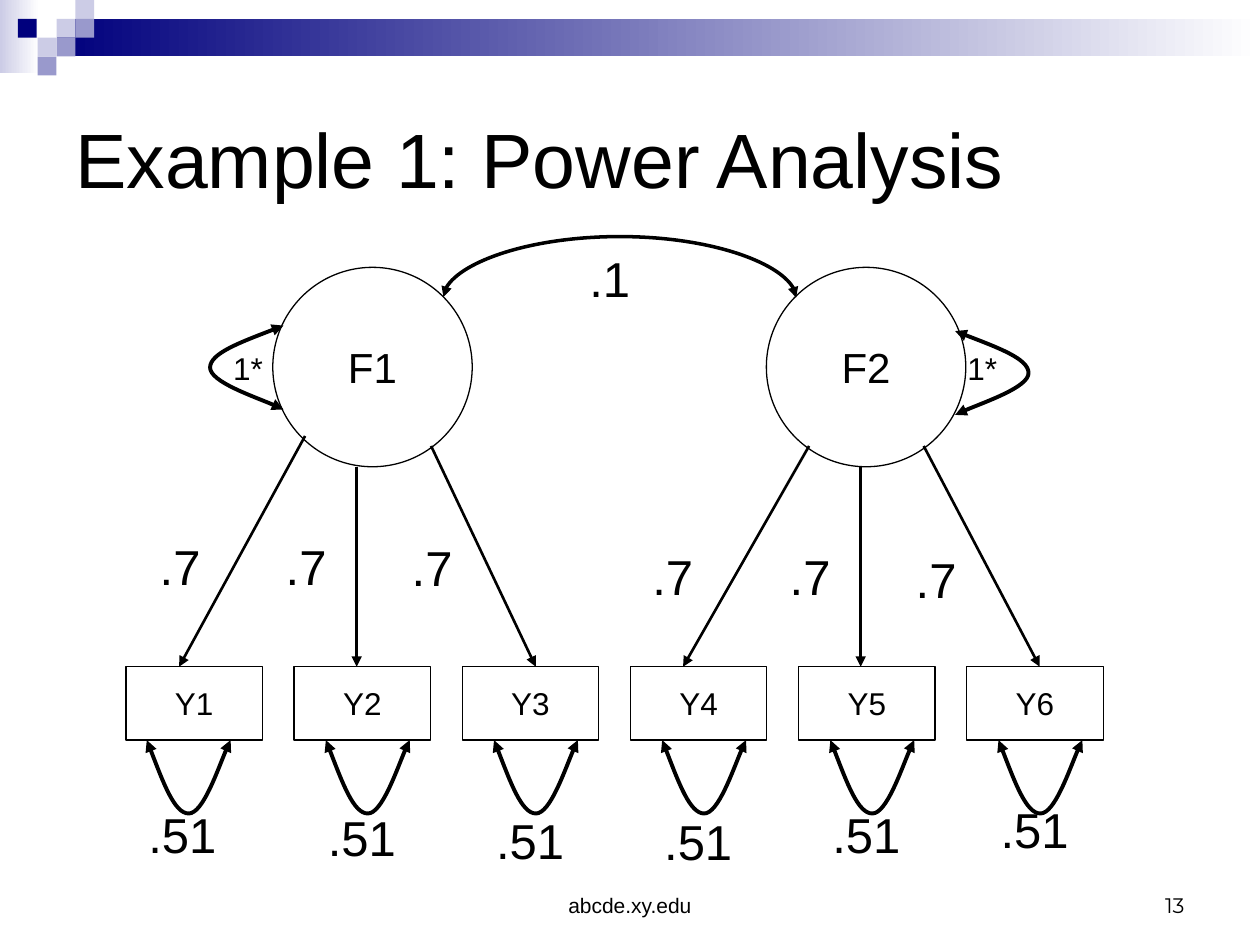
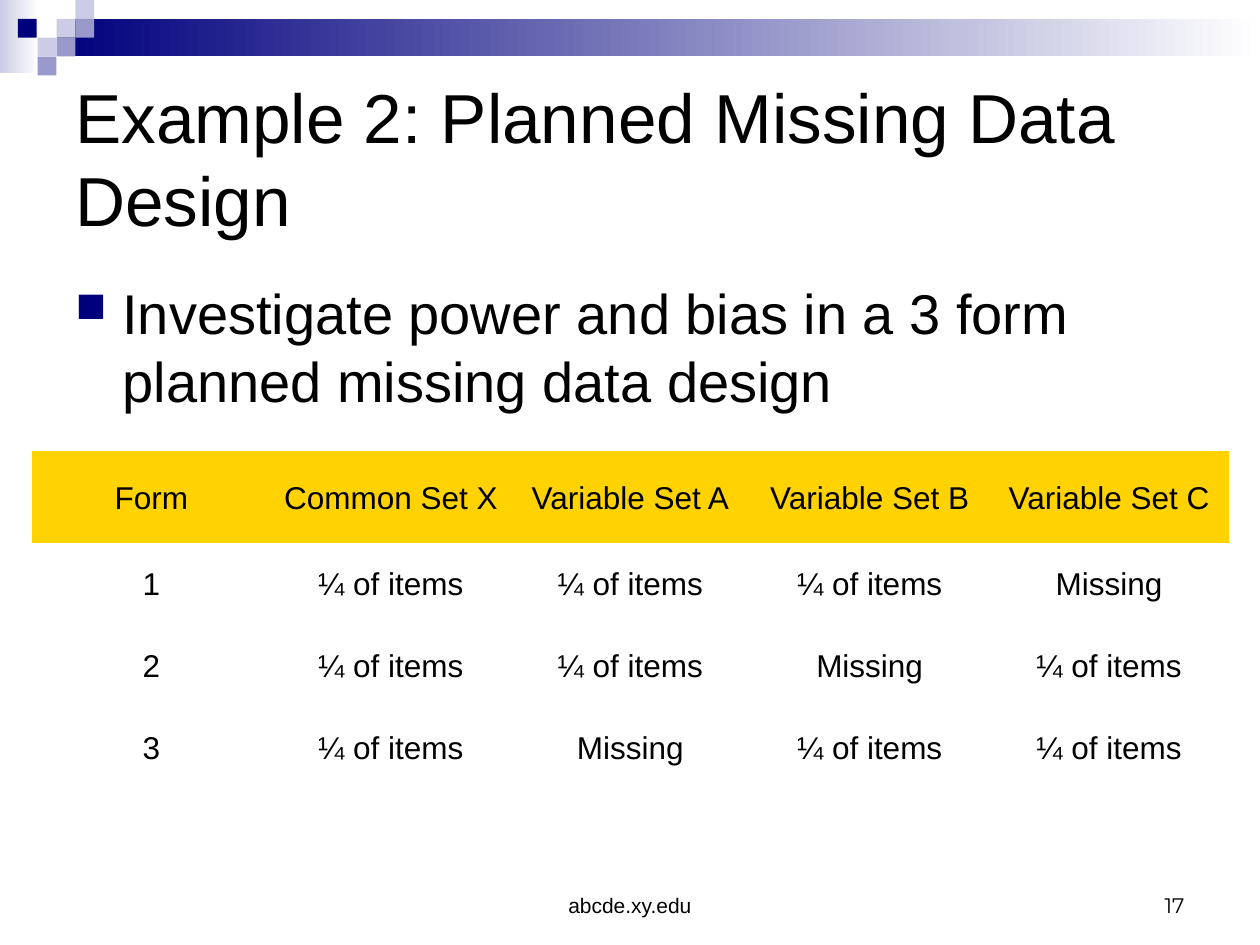
from dataclasses import dataclass
from typing import Any, NamedTuple

from lxml.etree import SubElement
from pptx import Presentation
from pptx.dml.color import RGBColor
from pptx.enum.shapes import MSO_CONNECTOR, MSO_SHAPE
from pptx.enum.text import MSO_ANCHOR, PP_ALIGN
from pptx.oxml.ns import qn
from pptx.util import Cm, Pt


# Theme and records
@dataclass(frozen=True)
class Theme:
    navy: RGBColor = RGBColor(0x00, 0x00, 0x7D)
    lilac: RGBColor = RGBColor(0xCC, 0xCC, 0xE6)
    violet: RGBColor = RGBColor(0x99, 0x99, 0xCC)
    gold: RGBColor = RGBColor(0xFF, 0xD2, 0x00)
    black: RGBColor = RGBColor(0x00, 0x00, 0x00)
    white: RGBColor = RGBColor(0xFF, 0xFF, 0xFF)
    font: str = "Arial"
    number_font: str = "Montserrat"
    title: float = 44
    long_title: float = 39.6
    body: float = 32
    estimate: float = 28
    factor: float = 24
    label: float = 18
    footer: float = 12


THEME = Theme()


class Area(NamedTuple):
    """Left, top, width and height in centimetres."""
    left: float
    top: float
    width: float
    height: float

    def lengths(self) -> list[Cm]:
        return [Cm(value) for value in self]


class Indicator(NamedTuple):
    """An observed variable with its loading arrow and residual loop."""
    name: str
    start: tuple[float, float]
    tip_x: float
    loading_at: tuple[float, float]
    loop_shift: float
    residual_at: tuple[float, float]  # shift from the box, top


class Factor(NamedTuple):
    """A latent variable with its variance loop."""
    name: str
    left: float
    loop: Area
    rotation: float
    flipped: bool
    variance_left: float


INDICATORS = [
    Indicator("Y1", (6.15, 8.79), 3.61, (2.97, 10.69), 0.42, (0.2, 16.1)),
    Indicator("Y2", (7.19, 9.42), 7.19, (5.51, 10.69), 0.64, (0.43, 16.15)),
    Indicator("Y3", (8.69, 8.99), 10.8, (8.05, 10.72), 0.64, (0.43, 16.21)),
    Indicator("Y4", (16.31, 8.99), 13.77, (12.9, 10.9), 0.64, (0.43, 16.23)),
    Indicator("Y5", (17.35, 9.42), 17.35, (15.67, 10.9), 0.64, (0.43, 16.1)),
    Indicator("Y6", (18.62, 8.99), 20.96, (18.21, 10.95), 0.64, (0.43, 16)),
]
FACTORS = [
    Factor("F1", 5.5, Area(4.13, 6.67, 1.69, 1.48), 90, False, 4.45),
    Factor("F2", 15.45, Area(19.15, 6.78, 1.69, 1.48), 270, True, 19.25),
]
BOX_LEFT, BOX_TOP, BOX_PITCH = 2.54, 13.44, 3.39
BOX_WIDTH, BOX_HEIGHT = 2.75, 1.48

# Loop outline as fractions of its width and height
LOOP_CURVES = [
    [(0.17, 0.5), (0.33, 1), (0.5, 1)],
    [(0.67, 1), (0.92, 0.17), (1, 0)],
]

FORM_ROWS = [
    ["Form", "Common Set X", "Variable Set A", "Variable Set B", "Variable Set C"],
    ["1", "¼ of items", "¼ of items", "¼ of items", "Missing"],
    ["2", "¼ of items", "¼ of items", "Missing", "¼ of items"],
    ["3", "¼ of items", "Missing", "¼ of items", "¼ of items"],
]


# Drawing helpers
def apply(target: Any, values: dict[str, Any]) -> None:
    for name, value in values.items():
        setattr(target, name, value)


def write(frame: Any, text: str, size: float, align: Any = PP_ALIGN.LEFT,
          font: str = THEME.font) -> Any:
    para = frame.paragraphs[0]
    para.alignment = align
    span = para.add_run()
    span.text = text
    apply(span.font, {"size": Pt(size), "name": font, "bold": False})
    span.font.color.rgb = THEME.black
    return para


def add_text(page: Any, area: Area, text: str, size: float,
             anchor: Any = MSO_ANCHOR.TOP, align: Any = PP_ALIGN.LEFT,
             font: str = THEME.font) -> Any:
    frame = page.shapes.add_textbox(*area.lengths()).text_frame
    apply(frame, {"word_wrap": True, "vertical_anchor": anchor})
    return write(frame, text, size, align, font)


def add_block(page: Any, area: Area, color: RGBColor, fade: bool = False) -> None:
    block = page.shapes.add_shape(MSO_SHAPE.RECTANGLE, *area.lengths())
    block.shadow.inherit = False
    block.line.fill.background()
    if fade:
        block.fill.gradient()
        block.fill.gradient_angle = 0
        for stop, shade in zip(block.fill.gradient_stops, (color, THEME.white)):
            stop.color.rgb = shade
    else:
        block.fill.solid()
        block.fill.fore_color.rgb = color


def add_variable(page: Any, kind: Any, area: Area, name: str, size: float) -> None:
    shape = page.shapes.add_shape(kind, *area.lengths())
    shape.shadow.inherit = False
    shape.fill.solid()
    shape.fill.fore_color.rgb = THEME.white
    set_line(shape, 0.75)
    apply(shape.text_frame, {"word_wrap": False, "vertical_anchor": MSO_ANCHOR.MIDDLE})
    write(shape.text_frame, name, size, PP_ALIGN.CENTER)


def set_line(shape: Any, width: float, arrow_ends: tuple[str, ...] = ()) -> None:
    shape.line.color.rgb = THEME.black
    shape.line.width = Pt(width)
    for end in arrow_ends:
        SubElement(shape.line._get_or_add_ln(), qn(f"a:{end}"), type="triangle")


def add_arrow(page: Any, kind: Any, start: tuple[float, float], tip: tuple[float, float],
              width: float, arrow_ends: tuple[str, ...]) -> Any:
    arrow = page.shapes.add_connector(kind, *[Cm(value) for value in start + tip])
    set_line(arrow, width, arrow_ends)
    SubElement(arrow._element.spPr, qn("a:effectLst"))
    return arrow


def add_loop(page: Any, area: Area, rotation: float = 0, flipped: bool = False) -> None:
    left, top, width, height = area.lengths()
    builder = page.shapes.build_freeform(left, top)
    builder.add_line_segments(
        [(left + width // 2, top + height), (left + width, top)], close=False)
    loop = builder.convert_to_shape()
    loop.shadow.inherit = False
    loop.fill.background()
    set_line(loop, 2.25, ("headEnd", "tailEnd"))
    loop.rotation = rotation
    if flipped:
        loop._element.spPr.find(qn("a:xfrm")).set("flipH", "1")
    # Swap the straight segments for curves
    outline = next(loop._element.iter(qn("a:path")))
    for segment in outline.findall(qn("a:lnTo")):
        outline.remove(segment)
    for points in LOOP_CURVES:
        curve = SubElement(outline, qn("a:cubicBezTo"))
        for x, y in points:
            SubElement(curve, qn("a:pt"), x=str(round(x * width)), y=str(round(y * height)))


# Shared page: band, squares, title and footer
def add_page(deck: Any, title: str, title_size: float, number: str) -> Any:
    page = deck.slides.add_slide(deck.slide_layouts[6])
    add_block(page, Area(0, 0, 0.79, 1.47), THEME.lilac, fade=True)
    add_block(page, Area(1.14, 0.38, 24.26, 0.76), THEME.navy, fade=True)
    side = 0.38
    squares = {THEME.lilac: [(1, 1), (2, 0), (0, 2)], THEME.violet: [(2, 1), (1, 2), (0, 3)]}
    for color, cells in squares.items():
        for column, row in cells:
            add_block(page, Area(0.76 + column * side, row * side, side, side), color)
    add_block(page, Area(0.36, side, side, side), THEME.navy)
    add_text(page, Area(1.27, 1.27, 22.86, 3.81), title, title_size, MSO_ANCHOR.MIDDLE)
    add_text(page, Area(8.68, 17.36, 8.04, 1.27), "abcde.xy.edu", THEME.footer,
             MSO_ANCHOR.BOTTOM, PP_ALIGN.CENTER)
    add_text(page, Area(18.2, 17.36, 5.93, 1.27), number, THEME.footer,
             MSO_ANCHOR.BOTTOM, PP_ALIGN.RIGHT, THEME.number_font)
    return page


# Page with the two-factor path diagram
def build_power_page(deck: Any) -> None:
    page = add_page(deck, "Example 1: Power Analysis", THEME.title, "13")
    for factor in FACTORS:
        add_variable(page, MSO_SHAPE.OVAL, Area(factor.left, 5.39, 4.02, 4.02),
                     factor.name, THEME.factor)
        add_loop(page, factor.loop, factor.rotation, factor.flipped)
        add_text(page, Area(factor.variance_left, 6.91, 1.48, 1.02), "1*", THEME.label)

    # The covariance arc is a quarter-turned curve bulging upwards
    arc = add_arrow(page, MSO_CONNECTOR.CURVE, (12.49, 9.55), (12.5, 2.44), 2,
                    ("headEnd", "tailEnd"))
    arc._element.spPr.find(qn("a:xfrm")).set("rot", "5400000")
    geometry = arc._element.spPr.find(qn("a:prstGeom"))
    SubElement(geometry.find(qn("a:avLst")), qn("a:gd"), name="adj1", fmla="val -12200000")
    add_text(page, Area(11.63, 4.88, 1.7, 1.45), ".1", THEME.estimate)

    for index, item in enumerate(INDICATORS):
        left = BOX_LEFT + index * BOX_PITCH
        add_variable(page, MSO_SHAPE.RECTANGLE, Area(left, BOX_TOP, BOX_WIDTH, BOX_HEIGHT),
                     item.name, THEME.label)
        add_arrow(page, MSO_CONNECTOR.STRAIGHT, item.start, (item.tip_x, BOX_TOP), 1.5,
                  ("tailEnd",))
        add_text(page, Area(*item.loading_at, 2.34, 1.45), ".7", THEME.estimate)
        add_loop(page, Area(left + item.loop_shift, BOX_TOP + BOX_HEIGHT, 1.69, 1.48))
        shift, top = item.residual_at
        add_text(page, Area(left + shift, top, 2.11, 1.45), ".51", THEME.estimate)


# Page with the planned missing data table
def build_missing_page(deck: Any) -> None:
    page = add_page(deck, "Example 2: Planned Missing Data Design", THEME.long_title, "17")
    para = add_text(page, Area(1.27, 5.5, 22.86, 10.8),
                    "Investigate power and bias in a 3 form planned missing data design",
                    THEME.body)
    layout = para._p.get_or_add_pPr()
    layout.set("marL", str(Cm(0.95)))
    layout.set("indent", str(-Cm(0.95)))
    SubElement(SubElement(layout, qn("a:buClr")), qn("a:srgbClr"), val=str(THEME.navy))
    SubElement(layout, qn("a:buSzPct"), val="75000")
    SubElement(layout, qn("a:buChar"), char="■")

    area = Area(0.64, 9.1, 24.13, 6.79)
    table = page.shapes.add_table(len(FORM_ROWS), len(FORM_ROWS[0]), *area.lengths()).table
    apply(table, {"first_row": False, "horz_banding": False})
    # Plain style without grid lines
    style = next(table._tbl.iter(qn("a:tableStyleId")))
    style.text = "{2D5ABB26-0587-4C30-8999-92F81FD0307C}"
    cell_format = {"vertical_anchor": MSO_ANCHOR.MIDDLE, "margin_left": Cm(0.25),
                   "margin_right": Cm(0.25), "margin_top": Cm(0.23), "margin_bottom": Cm(0.13)}
    for row_index, texts in enumerate(FORM_ROWS):
        table.rows[row_index].height = Cm(1.65 if row_index else 1.84)
        for column_index, text in enumerate(texts):
            cell = table.cell(row_index, column_index)
            apply(cell, cell_format)
            if row_index:
                cell.fill.background()
            else:
                cell.fill.solid()
                cell.fill.fore_color.rgb = THEME.gold
            write(cell.text_frame, text, THEME.label, PP_ALIGN.CENTER).line_spacing = 0.93


def main() -> None:
    deck = Presentation()
    apply(deck, {"slide_width": Cm(25.4), "slide_height": Cm(19.05)})
    build_power_page(deck)
    build_missing_page(deck)
    deck.save("out.pptx")


if __name__ == "__main__":
    main()
